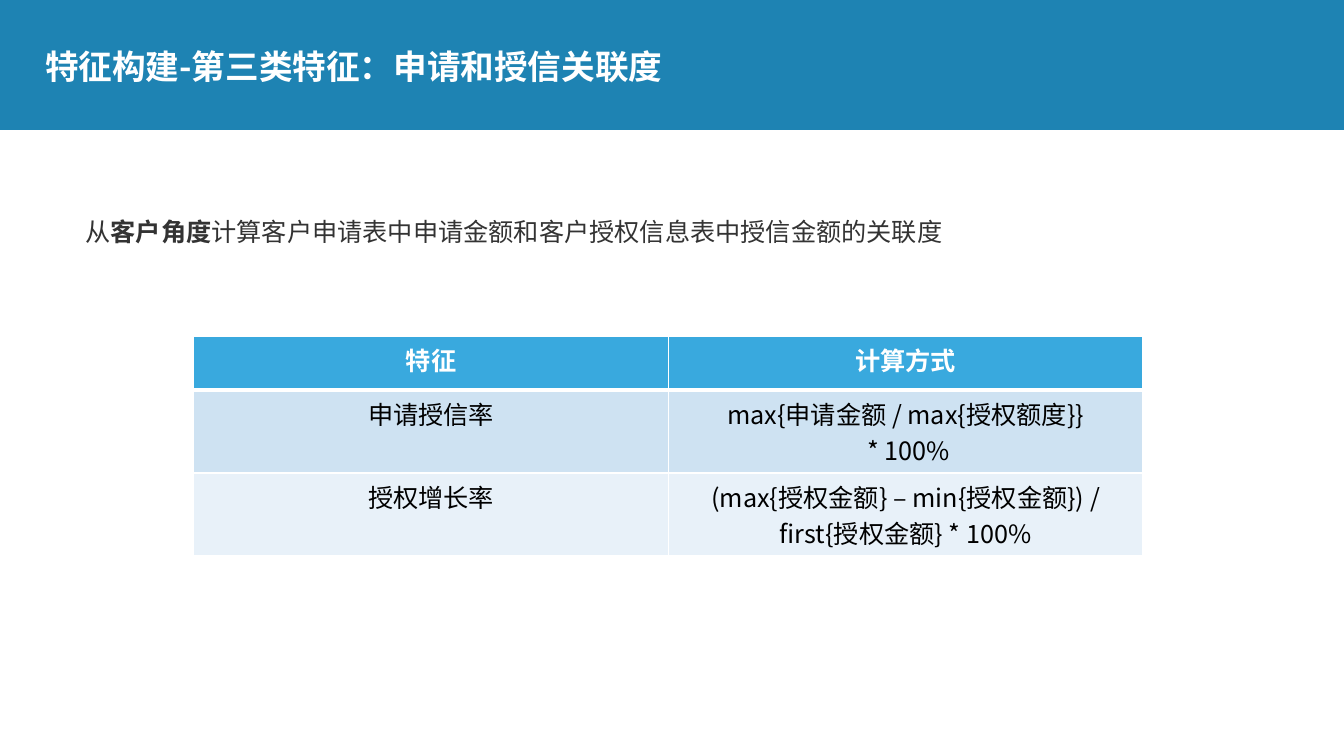
from lxml import etree
from pptx import Presentation
from pptx.dml.color import RGBColor
from pptx.enum import shapes, text
from pptx.oxml.ns import qn
from pptx.util import Pt

FACE = "Noto Sans CJK SC"
BLUE = RGBColor(0x1E, 0x83, 0xB3)
HEAD = RGBColor(0x39, 0xA9, 0xDE)
BANDS = [RGBColor(0xCE, 0xE2, 0xF2), RGBColor(0xE8, 0xF1, 0xF9)]
WHITE = RGBColor(255, 255, 255)
BLACK = RGBColor(0, 0, 0)
GREY = RGBColor(0x33, 0x33, 0x33)

ROWS = [
    ("特征", "计算方式"),
    ("申请授信率", "max{申请金额 / max{授权额度}}\n * 100%"),
    ("授权增长率", "(max{授权金额} – min{授权金额}) /\nfirst{授权金额} * 100%"),
]


def style(font, size, color, bold=None):
    """Set the face, size, colour and weight of a font."""
    font.name, font.size, font.bold = FACE, Pt(size), bold
    font.color.rgb = color
    etree.SubElement(font._element, qn("a:ea")).set("typeface", FACE)


def add_box(slide, left, top, width, height):
    """Add a wrapping, vertically centred text box and return its frame."""
    box = slide.shapes.add_textbox(Pt(left), Pt(top), Pt(width), Pt(height))
    frame = box.text_frame
    frame.word_wrap = True
    frame.vertical_anchor = text.MSO_ANCHOR.MIDDLE
    return frame


def add_page(slide, left, top, width, height):
    """Lay the white page over the blue ground."""
    slide.background.fill.solid()
    slide.background.fill.fore_color.rgb = BLUE
    page = slide.shapes.add_shape(
        shapes.MSO_SHAPE.RECTANGLE, Pt(left), Pt(top), Pt(width), Pt(height))
    page.shadow.inherit = False
    page.fill.solid()
    page.fill.fore_color.rgb = WHITE
    page.line.fill.background()


def add_title(slide, left, top, width, height):
    """Write the title in the blue band."""
    para = add_box(slide, left, top, width, height).paragraphs[0]
    para.text = "特征构建-第三类特征：申请和授信关联度"
    para.line_spacing = 0.9
    para.space_before = Pt(10)
    style(para.font, 24, WHITE, True)


def add_intro(slide, left, top, width, height):
    """Write the lead sentence with its bold term."""
    frame = add_box(slide, left, top, width, height)
    frame.auto_size = text.MSO_AUTO_SIZE.SHAPE_TO_FIT_TEXT
    para = frame.paragraphs[0]
    parts = [("从", False), ("客户角度", True),
             ("计算客户申请表中申请金额和客户授权信息表中授信金额的关联度", False)]
    for words, bold in parts:
        run = para.add_run()
        run.text = words
        style(run.font, 18, GREY, bold)


def add_edges(cell, above, below):
    """Draw white cell borders, with the given widths above and below."""
    props = cell._tc.get_or_add_tcPr()
    sides = [("L", 1), ("R", 1), ("T", above), ("B", below)]
    for spot, (side, width) in enumerate(sides):
        line = etree.Element(qn(f"a:ln{side}"), w=str(Pt(width)))
        fill = etree.SubElement(line, qn("a:solidFill"))
        etree.SubElement(fill, qn("a:srgbClr"), val=str(WHITE))
        props.insert(spot, line)


def add_grid(slide, left, top, width, height):
    """Add the table of features and formulas."""
    grid = slide.shapes.add_table(
        len(ROWS), 2, Pt(left), Pt(top), Pt(width), Pt(height)).table
    first = 38.2
    rest = (height - first) / (len(ROWS) - 1)
    for i, row in enumerate(ROWS):
        grid.rows[i].height = Pt(rest if i else first)
        for j, words in enumerate(row):
            cell = grid.cell(i, j)
            cell.text = words
            cell.fill.solid()
            cell.fill.fore_color.rgb = BANDS[i - 1] if i else HEAD
            add_edges(cell, 3 if i == 1 else 1, 1 if i else 3)
            for para in cell.text_frame.paragraphs:
                para.alignment = text.PP_ALIGN.CENTER
                style(para.font, 18, BLACK if i else WHITE, i == 0)


def main():
    """Build and save the slide."""
    deck = Presentation()
    deck.slide_width, deck.slide_height = Pt(960), Pt(540)
    slide = deck.slides.add_slide(deck.slide_layouts[6])
    add_page(slide, 0, 93, 960, 447)
    add_title(slide, 25.2, 20.2, 523.4, 56.9)
    add_grid(slide, 138.4, 240.5, 678, 156.6)
    add_intro(slide, 54, 150.5, 808, 29)
    deck.save("out.pptx")


if __name__ == "__main__":
    main()
